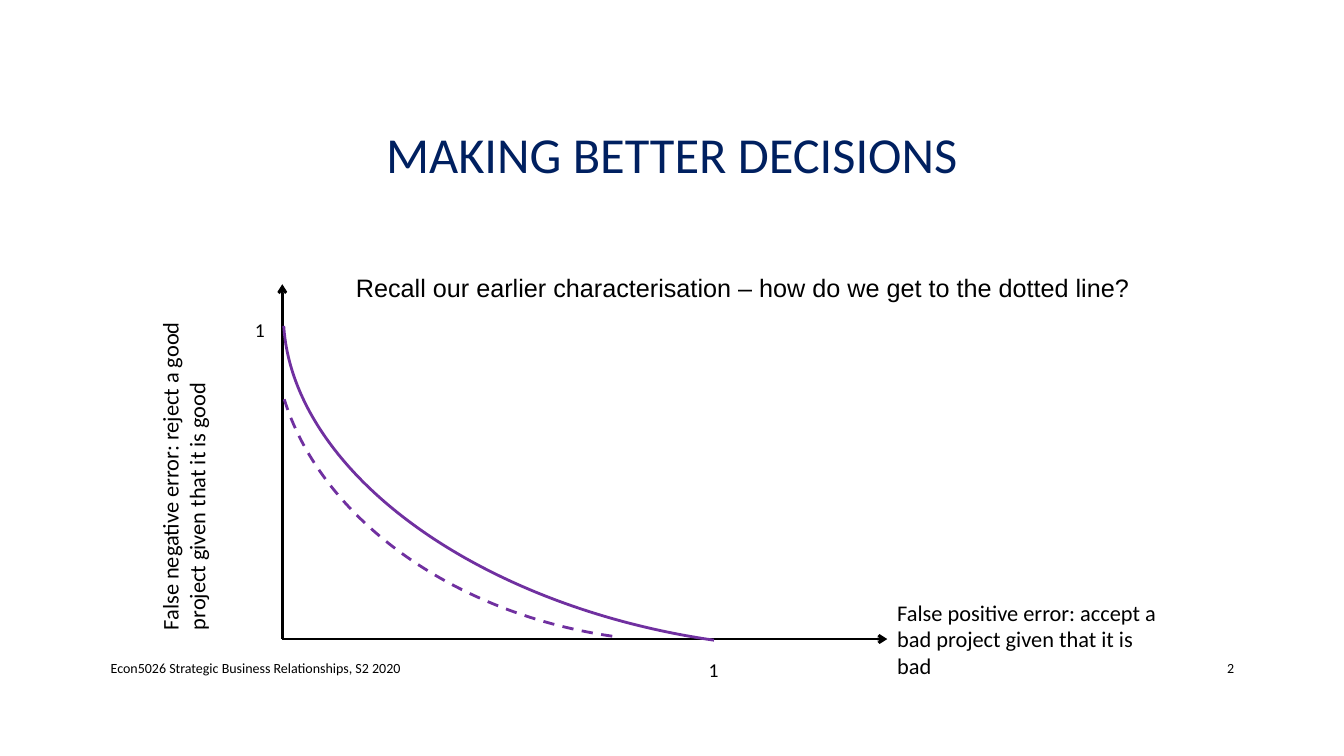
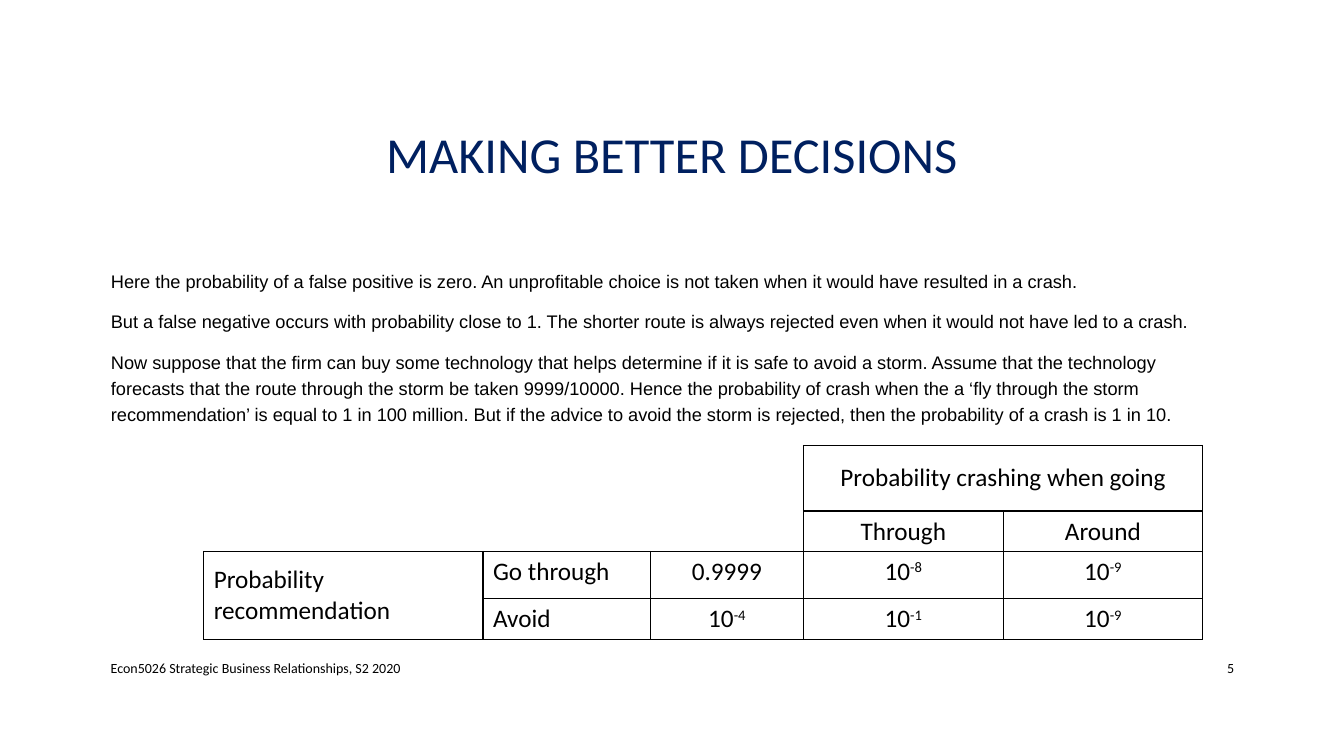
"""Build two lecture slides on making better decisions."""
import pptx
import pptx.dml.color
import pptx.enum.dml
import pptx.enum.shapes
import pptx.enum.text
import pptx.oxml
import pptx.oxml.ns
import pptx.util

Inches = pptx.util.Inches
Pt = pptx.util.Pt
ALIGN = pptx.enum.text.PP_ALIGN
ANCHOR = pptx.enum.text.MSO_ANCHOR
COLORS = {"text": "000000", "title": "002060", "curve": "7030A0"}
HEADING = "Calibri"
BODY = "Arial"


def rgb(name):
    """Return the palette colour called name."""
    return pptx.dml.color.RGBColor.from_string(COLORS[name])


def write(frame, *paragraphs, size=16, font=HEADING, color="text", align=ALIGN.LEFT,
          anchor=ANCHOR.TOP, spacing=1.0, before=0, bullets_off=False):
    """Fill a text frame; the part of a paragraph after ^ is superscript."""
    frame.word_wrap = True
    frame.vertical_anchor = anchor
    for index, text in enumerate(paragraphs):
        paragraph = frame.paragraphs[0] if index == 0 else frame.add_paragraph()
        if bullets_off:
            properties = paragraph._p.get_or_add_pPr()
            properties.set("marL", "0")
            properties.set("indent", "0")
            properties.append(pptx.oxml.parse_xml(f"<a:buNone {pptx.oxml.ns.nsdecls('a')}/>"))
        paragraph.alignment = align
        paragraph.line_spacing = spacing
        paragraph.space_before = Pt(before if index else 0)
        for level, part in enumerate(text.split("^")):
            run = paragraph.add_run()
            run.text = part
            run.font.size = Pt(size)
            run.font.name = font
            run.font.color.rgb = rgb(color)
            if level:
                run._r.get_or_add_rPr().set("baseline", "30000")


deck = pptx.Presentation()
deck.slide_width = Inches(13.33)
deck.slide_height = Inches(7.5)

pages = [
    ("2", 3.43, 18, ["Recall our earlier characterisation – how do we get to the dotted line?"]),
    ("5", 1, 13, [
        "Here the probability of a false positive is zero. An unprofitable choice is not taken "
        "when it would have resulted in a crash.",
        "But a false negative occurs with probability close to 1. The shorter route is always "
        "rejected even when it would not have led to a crash.",
        "Now suppose that the firm can buy some technology that helps determine if it is safe to "
        "avoid a storm. Assume that the technology forecasts that the route through the storm be "
        "taken 9999/10000. Hence the probability of crash when the a ‘fly through the storm "
        "recommendation’ is equal to 1 in 100 million. But if the advice to avoid the storm is "
        "rejected, then the probability of a crash is 1 in 10.",
    ]),
]
for number, body_left, body_size, body_text in pages:
    slide = deck.slides.add_slide(deck.slide_layouts[1])
    title, body = slide.placeholders
    title.left, title.top, title.width, title.height = map(Inches, (1, 0.68, 11.33, 1.75))
    write(title.text_frame, "MAKING BETTER DECISIONS", size=36, color="title",
          align=ALIGN.CENTER, anchor=ANCHOR.MIDDLE, spacing=0.9)
    body.left, body.top = Inches(body_left), Inches(2.59)
    body.width, body.height = Inches(12.33 - body_left), Inches(3.74)
    body.text_frame.auto_size = pptx.enum.text.MSO_AUTO_SIZE.NONE
    write(body.text_frame, *body_text, size=body_size, font=BODY, spacing=1.2, before=10,
          bullets_off=True)
    for left, width, text, align in [
        (1, 7.3, "Econ5026 Strategic Business Relationships, S2 2020", ALIGN.LEFT),
        (11.5, 0.84, number, ALIGN.RIGHT),
    ]:
        footer = slide.shapes.add_textbox(Inches(left), Inches(6.43), Inches(width), Inches(0.4))
        write(footer.text_frame, text, size=10, align=align, anchor=ANCHOR.MIDDLE)

tradeoff, storm = deck.slides

origin = (2.8, 6.34)
for axis_end in [(2.8, 2.82), (8.8, 6.34)]:
    axis = tradeoff.shapes.add_connector(pptx.enum.shapes.MSO_CONNECTOR.STRAIGHT,
                                         *map(Inches, origin + axis_end))
    axis.line.color.rgb = rgb("text")
    axis.line.width = Pt(2)
    axis.line._get_or_add_ln().append(
        pptx.oxml.parse_xml(f'<a:tailEnd {pptx.oxml.ns.nsdecls("a")} type="arrow"/>'))
    axis._element.spPr.append(pptx.oxml.parse_xml(f"<a:effectLst {pptx.oxml.ns.nsdecls('a')}/>"))

for place, sweep_end, dash in [
    ((2.78, 0.72, 9.41, 5.66), 213.41, None),
    ((2.7, 0.76, 7.54, 5.58), 207.43, pptx.enum.dml.MSO_LINE.DASH),
]:
    curve = tradeoff.shapes.add_shape(pptx.enum.shapes.MSO_SHAPE.ARC, *map(Inches, place))
    curve.adjustments[0] = 162
    curve.adjustments[1] = sweep_end
    curve.rotation = 188.2
    curve.shadow.inherit = False
    curve.fill.background()
    curve.line.color.rgb = rgb("curve")
    curve.line.width = Pt(2)
    if dash:
        curve.line.dash_style = dash

for place, text, size, direction in [
    ((1.5, 2.88, 0.74, 3.47),
     "False negative error: reject a good project given that it is good", 16, "vert270"),
    ((8.8, 5.89, 2.78, 0.91),
     "False positive error: accept a bad project given that it is bad", 16, "horz"),
    ((2.43, 3.1, 0.28, 0.34), "1", 14, "horz"),
    ((6.93, 6.48, 0.28, 0.34), "1", 14, "horz"),
]:
    label = tradeoff.shapes.add_textbox(*map(Inches, place))
    label.text_frame._txBody.bodyPr.set("vert", direction)
    write(label.text_frame, text, size=size)

rows = [
    ["", "", "", "Probability crashing when going", ""],
    ["", "", "", "Through", "Around"],
    ["Probability recommendation", "Go through", "0.9999", "10^-8", "10^-9"],
    ["", "Avoid", "10^-4", "10^-1", "10^-9"],
]
column_widths = [2.77, 1.66, 1.52, 1.98, 1.98]
row_heights = [0.65, 0.4, 0.47, 0.4]
odds = storm.shapes.add_table(len(rows), len(column_widths), Inches(2.02), Inches(4.42),
                              Inches(sum(column_widths)), Inches(sum(row_heights))).table
odds.first_row = odds.horz_banding = False
for column, width in zip(odds.columns, column_widths):
    column.width = Inches(width)
for row, height in zip(odds.rows, row_heights):
    row.height = Inches(height)
odds.cell(0, 3).merge(odds.cell(0, 4))
odds.cell(2, 0).merge(odds.cell(3, 0))

ruled = {(r, c) for r in range(4) for c in range(5) if r >= 2 or c >= 3}
for r, texts in enumerate(rows):
    for c, text in enumerate(texts):
        cell = odds.cell(r, c)
        for edge, neighbour in [("lnL", (r, c - 1)), ("lnR", (r, c + 1)),
                                ("lnT", (r - 1, c)), ("lnB", (r + 1, c))]:
            paint = "<a:noFill/>"
            if ruled & {(r, c), neighbour}:
                paint = f'<a:solidFill><a:srgbClr val="{COLORS["text"]}"/></a:solidFill>'
            cell._tc.get_or_add_tcPr().append(pptx.oxml.parse_xml(
                f'<a:{edge} {pptx.oxml.ns.nsdecls("a")} w="12700">{paint}</a:{edge}>'))
        cell.fill.background()
        if text:
            write(cell.text_frame, text, size=18,
                  align=ALIGN.CENTER if c >= 2 else ALIGN.LEFT)
            cell.vertical_anchor = ANCHOR.MIDDLE if r < 2 or c == 0 else ANCHOR.TOP

deck.save("out.pptx")
